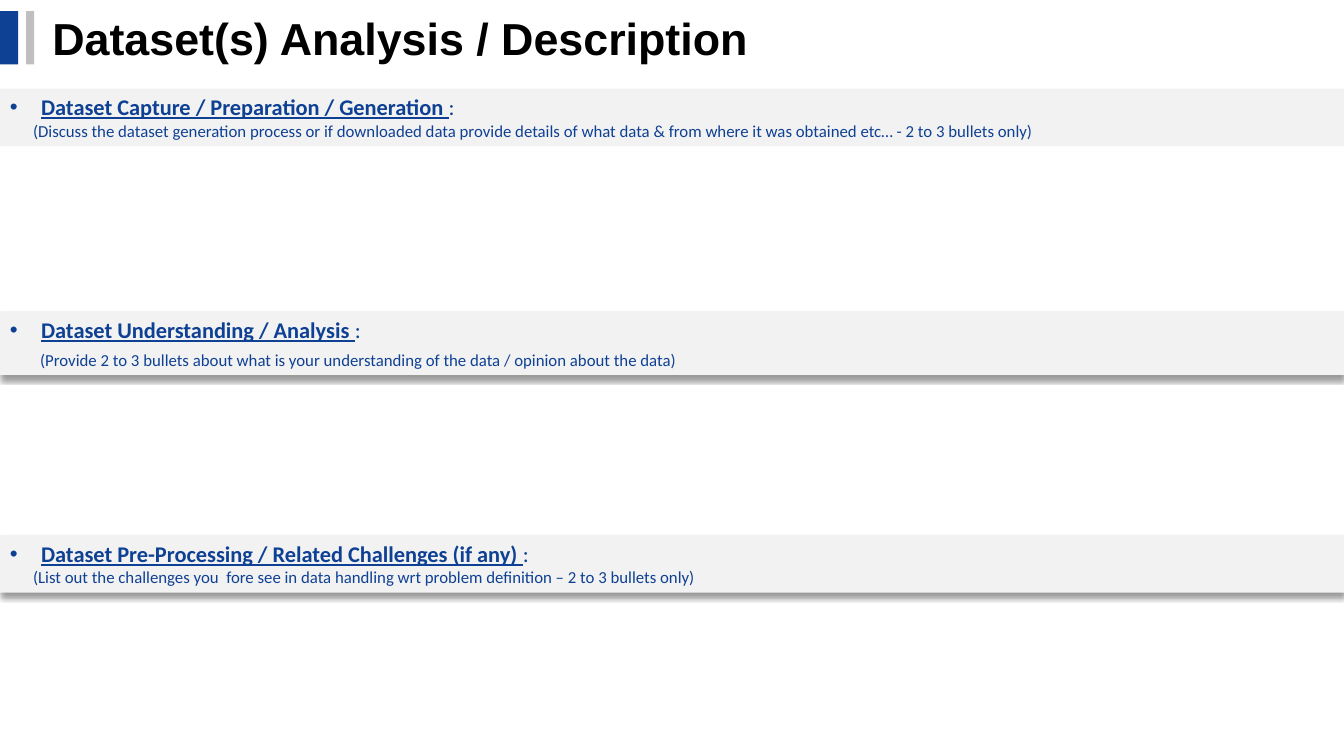
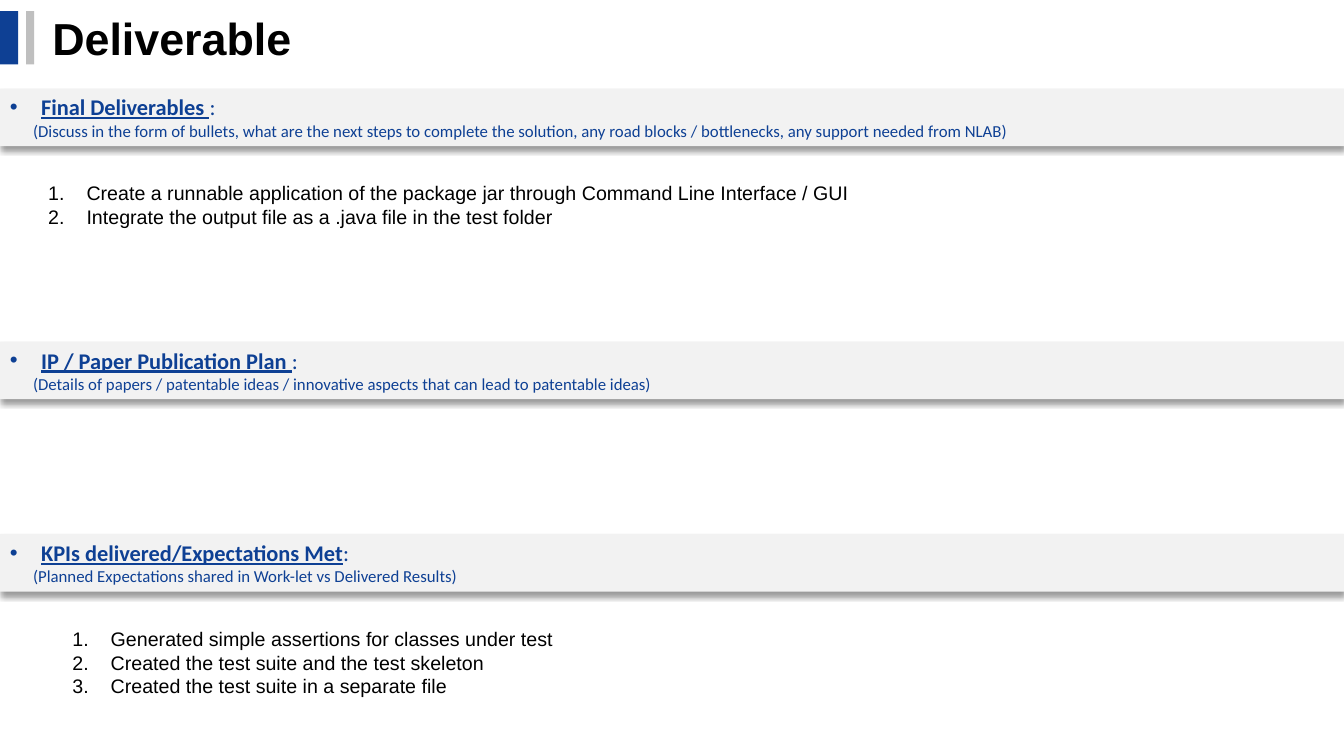
from lxml.etree import SubElement
from pptx import Presentation
from pptx.dml.color import RGBColor
from pptx.enum.shapes import MSO_SHAPE
from pptx.enum.text import MSO_ANCHOR, PP_ALIGN
from pptx.oxml.ns import qn
from pptx.util import Inches, Pt

# Shared colours, sizes and text formats
NAVY = RGBColor(0x0E, 0x40, 0x94)
SILVER = RGBColor(0xBF, 0xBF, 0xBF)
PALE = RGBColor(0xF2, 0xF2, 0xF2)
BLACK = RGBColor(0, 0, 0)

SLIDE_W, SLIDE_H = 13.33, 7.5
BAND_H = 0.57

TITLE = {"name": "Arial", "size": Pt(32), "bold": True}
HEADING = {"name": "Calibri", "size": Pt(16), "bold": True, "underline": True}
COLON = {"name": "Calibri", "size": Pt(16), "bold": False}
HINT = {"name": "Calibri", "size": Pt(12), "bold": False}
ITEM = {"name": "Arial", "size": Pt(14)}


def add_run(paragraph, text, font_format, color):
    run = paragraph.add_run()
    run.text = text
    for attribute, value in font_format.items():
        setattr(run.font, attribute, value)
    run.font.color.rgb = color


def set_indent(paragraph, left, first=0.0):
    properties = paragraph._p.get_or_add_pPr()
    properties.set("marL", str(Inches(left)))
    properties.set("indent", str(Inches(first)))
    return properties


def set_marker(paragraph, hang, color, tag, **marker):
    """Hanging bullet or number in the given colour."""
    properties = set_indent(paragraph, hang, -hang)
    SubElement(SubElement(properties, qn("a:buClr")), qn("a:srgbClr"), val=str(color))
    SubElement(properties, qn("a:buFont"), typeface="Arial")
    SubElement(properties, qn(tag), **marker)


def add_block(slide, left, top, width, height, color):
    block = slide.shapes.add_shape(
        MSO_SHAPE.RECTANGLE, Inches(left), Inches(top), Inches(width), Inches(height))
    block.shadow.inherit = False
    block.fill.solid()
    block.fill.fore_color.rgb = color
    block.line.fill.background()
    return block


def add_text_frame(slide, left, top, width, height):
    frame = slide.shapes.add_textbox(
        Inches(left), Inches(top), Inches(width), Inches(height)).text_frame
    frame.word_wrap = True
    return frame


def add_drop_shadow(block):
    effects = block._element.spPr.find(qn("a:effectLst"))
    shadow = SubElement(effects, qn("a:outerShdw"), blurRad=str(Pt(4)), dist=str(Pt(3)),
                        dir="5400000", algn="t", rotWithShape="0")
    shade = SubElement(shadow, qn("a:srgbClr"), val=str(BLACK))
    SubElement(shade, qn("a:alpha"), val="40000")


def add_title(slide, text, top=0.11, height=0.53):
    """Two accent bars and the slide title beside them."""
    add_block(slide, 0, top, 0.18, height, NAVY)
    add_block(slide, 0.26, top, 0.08, height, SILVER)
    frame = add_text_frame(slide, 0.42, top - 0.05, 10.28, height + 0.1)
    frame.vertical_anchor = MSO_ANCHOR.MIDDLE
    add_run(frame.paragraphs[0], text, TITLE, BLACK)


def add_section(slide, top, heading, hint, shadow=True, height=BAND_H,
                hint_indent=0.23, hint_gap=0):
    """Full-width band with a bulleted heading and a hint below it."""
    band = add_block(slide, 0, top, SLIDE_W, height, PALE)
    if shadow:
        add_drop_shadow(band)
    frame = band.text_frame
    frame.word_wrap = True
    frame.vertical_anchor = MSO_ANCHOR.TOP

    heading_line, hint_line = frame.paragraphs[0], frame.add_paragraph()
    for line in (heading_line, hint_line):
        line.alignment = PP_ALIGN.JUSTIFY
    set_marker(heading_line, 0.31, NAVY, "a:buChar", char="•")
    add_run(heading_line, heading, HEADING, NAVY)
    add_run(heading_line, ": ", COLON, NAVY)

    hint_line.space_before = Pt(hint_gap)
    set_indent(hint_line, hint_indent)
    add_run(hint_line, hint, HINT, NAVY)


def add_numbered_list(slide, left, top, width, height, items):
    frame = add_text_frame(slide, left, top, width, height)
    for index, item in enumerate(items):
        line = frame.add_paragraph() if index else frame.paragraphs[0]
        set_marker(line, 0.38, BLACK, "a:buAutoNum", type="arabicPeriod")
        add_run(line, item, ITEM, BLACK)


def build_dataset_slide(slide):
    add_title(slide, "Dataset(s) Analysis / Description")
    add_section(slide, 0.88, "Dataset Capture / Preparation / Generation ",
                "(Discuss the dataset generation process or if downloaded data provide details "
                "of what data & from where it was obtained etc… - 2 to 3 bullets only)",
                shadow=False)
    add_section(slide, 3.09, "Dataset Understanding / Analysis ",
                "(Provide 2 to 3 bullets about what is your understanding of the data / "
                "opinion about the data)",
                height=0.63, hint_indent=0.3, hint_gap=4.5)
    add_section(slide, 5.31, "Dataset Pre-Processing / Related Challenges (if any) ",
                "(List out the challenges you  fore see in data handling wrt problem "
                "definition – 2 to 3 bullets only)")


def build_deliverable_slide(slide):
    add_title(slide, "Deliverable")
    add_section(slide, 0.88, "Final Deliverables ",
                "(Discuss in the form of bullets, what are the next steps to complete the "
                "solution, any road blocks / bottlenecks, any support needed from NLAB)")
    add_section(slide, 3.39, "IP / Paper Publication Plan ",
                "(Details of papers / patentable ideas / innovative aspects that can lead to "
                "patentable ideas)")
    add_section(slide, 5.3, "KPIs delivered/Expectations Met",
                "(Planned Expectations shared in Work-let vs Delivered Results)")
    add_numbered_list(slide, 0.38, 1.75, 9.58, 0.56, [
        "Create a runnable application of the package jar through Command Line Interface / GUI",
        "Integrate the output file as a .java file in the test folder",
    ])
    add_numbered_list(slide, 0.62, 6.17, 9.5, 1.03, [
        "Generated simple assertions for classes under test",
        "Created the test suite and the test skeleton",
        "Created the test suite in a separate file",
    ])


def main():
    deck = Presentation()
    deck.slide_width, deck.slide_height = Inches(SLIDE_W), Inches(SLIDE_H)
    blank = deck.slide_layouts[6]
    for build in (build_dataset_slide, build_deliverable_slide):
        build(deck.slides.add_slide(blank))
    deck.save("out.pptx")


if __name__ == "__main__":
    main()
